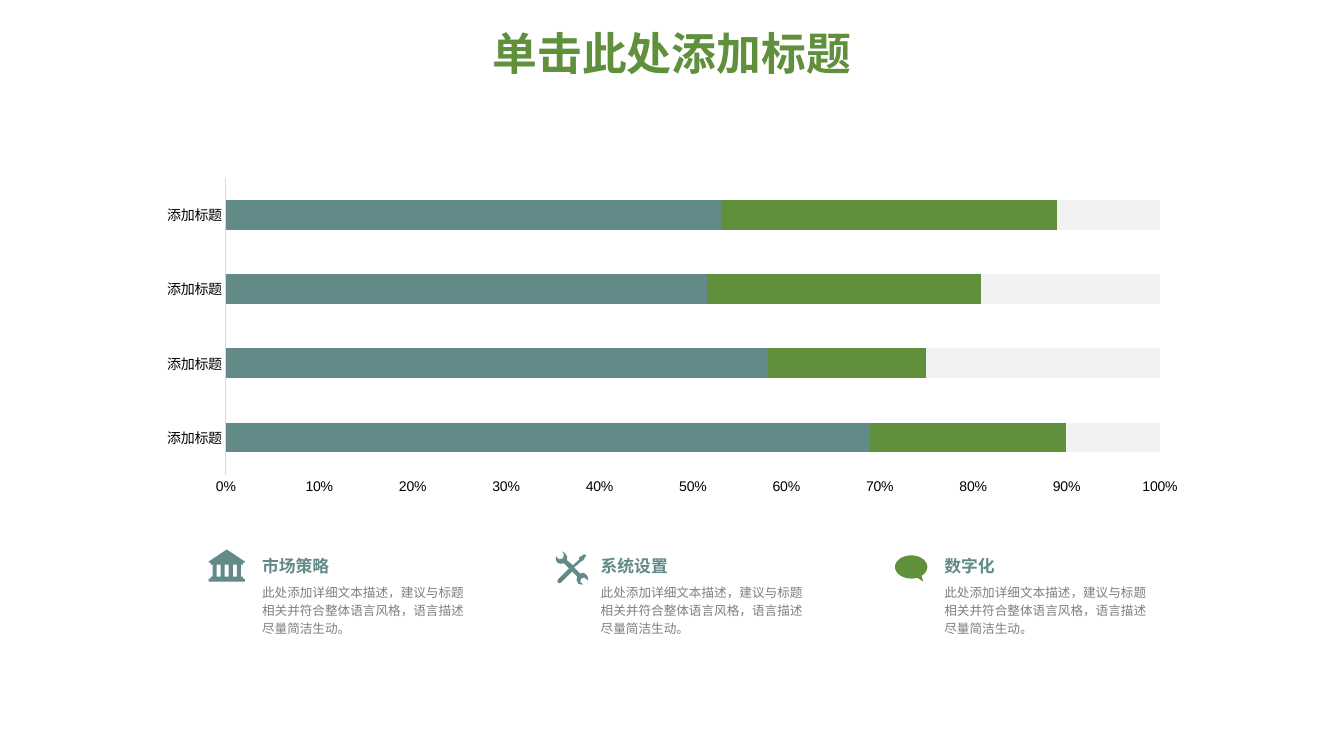
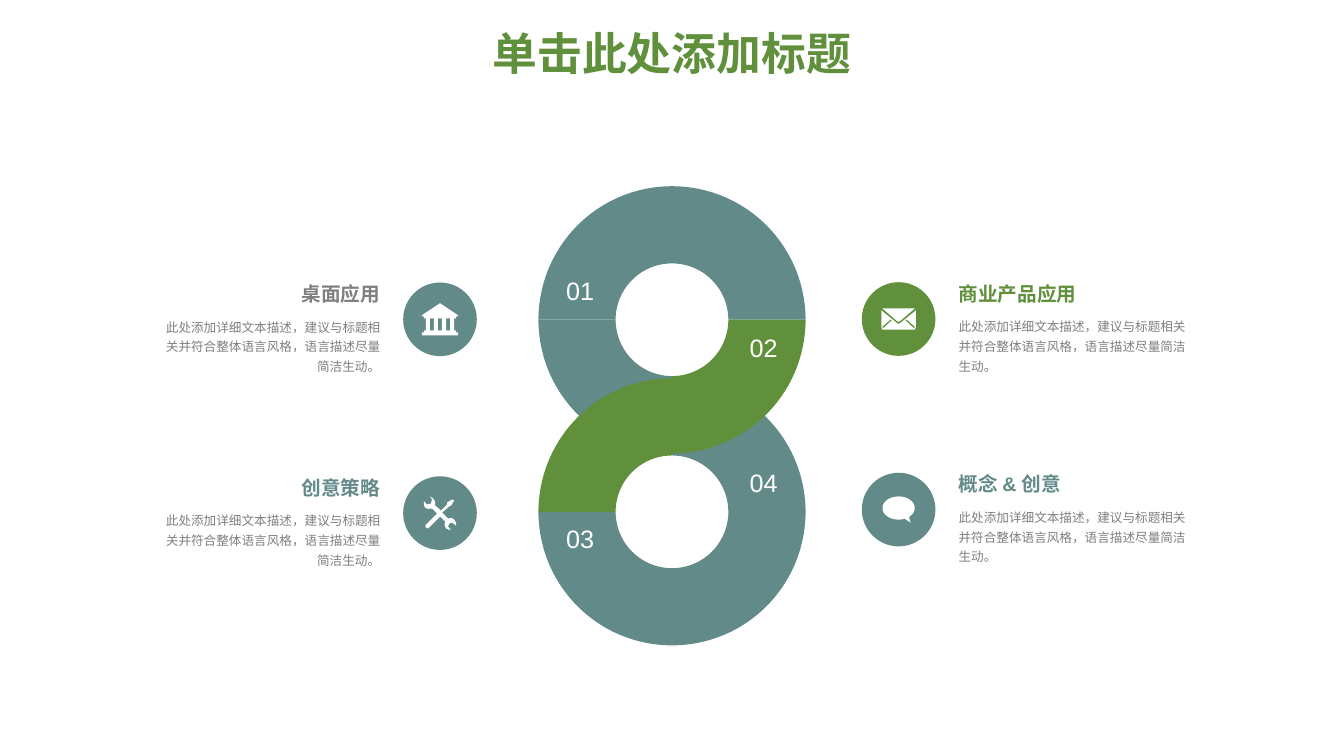
from math import cos, radians, sin

from pptx import Presentation
from pptx.chart.data import CategoryChartData
from pptx.dml.color import RGBColor
from pptx.enum.chart import XL_CHART_TYPE, XL_TICK_MARK
from pptx.enum.shapes import MSO_SHAPE
from pptx.enum.text import MSO_ANCHOR, PP_ALIGN
from pptx.util import Pt

# Shared style
FONT = "Arial"
TEAL, GREEN, GREY = "628A88", "60903B", "7F7F7F"
WHITE, BLACK, PALE, RULE = "FFFFFF", "000000", "F2F2F2", "D9D9D9"
TITLE = "单击此处添加标题"
DETAIL = "此处添加详细文本描述，建议与标题相关并符合整体语言风格，语言描述尽量简洁生动。"

# Icon outlines: lists of contours on a grid of ICON_UNIT points
ICON_UNIT = 0.72


def bank_icon():
    half = [(18, 0), (36, 12), (36, 13), (34, 13), (34, 15), (32, 15),
            (32, 27), (34, 27), (34, 29), (36, 29), (36, 32)]
    outline = half + [(36 - x, y) for x, y in reversed(half[1:])]
    gaps = [[(x, 15), (x, 27), (x + 4, 27), (x + 4, 15)] for x in (8, 16, 24)]
    return [outline] + gaps


def speech_icon():
    angles = [radians(a) for a in range(68, 411, 6)]
    bubble = [(16 + 16 * cos(a), 11.5 + 11.5 * sin(a)) for a in angles]
    return [bubble + [(28, 26)]]


def envelope_icon():
    flap = [(1, 0), (33, 0), (18, 13), (16, 13)]
    body = [(18, 15), (16, 15), (0, 2), (0, 19), (1, 21),
            (33, 21), (34, 19), (34, 2)]
    slit = [(10, 12), (2, 19.5), (1, 19), (1, 18), (9, 11), (10, 11)]
    return [flap, body, slit, [(34 - x, y) for x, y in slit]]


BANK, SPEECH, ENVELOPE = bank_icon(), speech_icon(), envelope_icon()
TOOLS = [[
    (31, 23), (28.4, 21.4), (25, 22), (19, 16), (26, 10), (28, 9), (31, 4),
    (29, 3), (24, 6), (24, 8), (18, 14), (12, 9), (12.1, 5.1), (10, 2),
    (7, 0), (9, 3), (8, 7), (4, 8), (1, 5), (0.8, 8), (2, 11), (5.1, 12.4),
    (9, 12), (14, 17), (3, 28), (2.3, 29.5), (3, 31), (4.5, 31.8), (6, 31),
    (17, 20), (22, 25), (21.4, 28.5), (23, 32), (25.5, 32.9), (28, 33),
    (25, 30), (26, 27), (29, 26), (33, 29), (32.8, 26),
]]


def color(value):
    return RGBColor.from_string(value)


def style_font(font, size, fill, bold=False):
    font.name, font.size, font.bold = FONT, Pt(size), bold
    font.color.rgb = color(fill)


def paint(sp, fill):
    sp.shadow.inherit = False
    sp.fill.solid()
    sp.fill.fore_color.rgb = color(fill)
    sp.line.fill.background()


def add_text(s, text, x, y, w, h, size, fill, bold=False, align=PP_ALIGN.LEFT,
             spacing=1.0, inset=0, anchor=MSO_ANCHOR.TOP, wrap=True):
    tf = s.shapes.add_textbox(Pt(x), Pt(y), Pt(w), Pt(h)).text_frame
    tf.word_wrap, tf.vertical_anchor = wrap, anchor
    tf.margin_left = tf.margin_right = Pt(inset)
    tf.margin_top = tf.margin_bottom = Pt(inset / 2)
    p = tf.paragraphs[0]
    p.text, p.alignment, p.line_spacing = text, align, spacing
    style_font(p.font, size, fill, bold)


def add_icon(s, contours, cx, cy, fill):
    """Draw an icon centred on (cx, cy)."""
    xs, ys = zip(*(point for contour in contours for point in contour))
    mid_x, mid_y = (min(xs) + max(xs)) / 2, (min(ys) + max(ys)) / 2
    builder = None
    for contour in contours:
        points = [(Pt(cx + (x - mid_x) * ICON_UNIT),
                   Pt(cy + (y - mid_y) * ICON_UNIT)) for x, y in contour]
        if builder is None:
            builder = s.shapes.build_freeform(*points[0], scale=1.0)
        else:
            builder.move_to(*points[0])
        builder.add_line_segments(points[1:], close=True)
    paint(builder.convert_to_shape(), fill)


def add_arc(s, x, y, size, start, end, fill):
    """Draw a ring segment clockwise between two angles in degrees."""
    sp = s.shapes.add_shape(MSO_SHAPE.BLOCK_ARC, Pt(x), Pt(y), Pt(size), Pt(size))
    sp.adjustments[0], sp.adjustments[1] = start * 0.6, end * 0.6
    sp.adjustments[2] = 0.289
    paint(sp, fill)


def add_slide(prs):
    s = prs.slides.add_slide(prs.slide_layouts[6])
    add_text(s, TITLE, 66, 18.7, 828, 43.2, 32, GREEN, True, PP_ALIGN.CENTER,
             0.9, 7.2, MSO_ANCHOR.MIDDLE)
    return s


def add_bar_chart(s):
    data = CategoryChartData()
    data.categories = ["添加标题"] * 4
    series = [((44, 21, 34, 33), TEAL), ((25, 37, 17, 20), TEAL),
              ((21, 17, 29, 36), GREEN), ((10, 25, 19, 11), PALE)]
    for i, (values, _) in enumerate(series, 1):
        data.add_series(f"Series {i}", values)
    chart = s.shapes.add_chart(XL_CHART_TYPE.BAR_STACKED_100, Pt(104.4), Pt(122.4),
                               Pt(751.7), Pt(235.4), data).chart
    chart.has_legend = chart.has_title = False
    style_font(chart.font, 10, BLACK)

    plot = chart.plots[0]
    plot.gap_width, plot.overlap, plot.vary_by_categories = 150, 100, False
    for bars, (_, fill) in zip(plot.series, series):
        bars.format.fill.solid()
        bars.format.fill.fore_color.rgb = color(fill)

    for axis in (chart.category_axis, chart.value_axis):
        axis.has_major_gridlines = False
        axis.major_tick_mark = axis.minor_tick_mark = XL_TICK_MARK.NONE
    line = chart.category_axis.format.line
    line.color.rgb, line.width = color(RULE), Pt(0.75)
    axis = chart.value_axis
    axis.format.line.fill.background()
    axis.major_unit = 0.1
    axis.tick_labels.number_format = "0%"
    axis.tick_labels.number_format_is_linked = False


def add_chart_slide(prs):
    s = add_slide(prs)
    add_bar_chart(s)
    # Notes under the chart: heading, text left, icon, icon centre, colour
    notes = [("市场策略", 187.2, BANK, 162, 404, TEAL),
             ("系统设置", 429.1, TOOLS, 408.6, 405.7, TEAL),
             ("数字化", 674.6, SPEECH, 650.9, 406.1, GREEN)]
    for heading, x, icon, cx, cy, fill in notes:
        add_text(s, DETAIL, x, 415.4, 148.3, 41.8, 9, GREY, spacing=1.2)
        add_text(s, heading, x, 398.2, 115.2, 18, 12, TEAL, True, spacing=0.9)
        add_icon(s, icon, cx, cy, fill)


def add_eight_slide(prs):
    s = add_slide(prs)

    # Side notes: heading and its colour, disc left, top and colour, icon
    disc = 52.6
    left_x, right_x = 288, 615.6
    notes = [("桌面应用", GREY, left_x, 201.8, TEAL, BANK),
             ("创意策略", TEAL, left_x, 340.2, TEAL, TOOLS),
             ("商业产品应用", GREEN, right_x, 201.6, GREEN, ENVELOPE),
             ("概念 & 创意", TEAL, right_x, 337.7, TEAL, SPEECH)]
    for heading, ink, x, y, fill, icon in notes:
        if x == left_x:
            text_x, width, align = 110.2, 161.3, PP_ALIGN.RIGHT
        else:
            text_x, width, align = 684.7, 164.2, PP_ALIGN.LEFT
        add_text(s, DETAIL, text_x, y + 23.2, width, 43.9, 9, GREY,
                 align=align, spacing=1.3)
        add_text(s, heading, text_x, y + 1.6, width, 25.2, 14, ink, True, align, 0.9)
        sp = s.shapes.add_shape(MSO_SHAPE.OVAL, Pt(x), Pt(y), Pt(disc), Pt(disc))
        paint(sp, fill)
        add_icon(s, icon, x + disc / 2, y + disc / 2, fill=WHITE)

    # Figure eight: two rings, crossed by the green band
    ring, upper, lower = 190.8, 133, 270.2
    arcs = [(upper, 180, 0, TEAL), (lower, 0, 180, TEAL),
            (upper, 90, 180, TEAL), (lower, 270, 0, TEAL),
            (lower, 180, 270, GREEN), (upper, 0, 90, GREEN)]
    for y, start, end, fill in arcs:
        add_arc(s, 480 - ring / 2, y, ring, start, end, fill)

    # Numbers on the rings
    for number, x, y in [("01", 396.7, 193), ("02", 527.8, 233.5),
                         ("03", 396.7, 370), ("04", 527.8, 330.5)]:
        add_text(s, number, x, y, 35.3, 28.8, 18, WHITE, align=PP_ALIGN.CENTER,
                 inset=7.2, wrap=False)


def main():
    prs = Presentation()
    prs.slide_width, prs.slide_height = Pt(960), Pt(540)
    add_chart_slide(prs)
    add_eight_slide(prs)
    prs.save("out.pptx")


if __name__ == "__main__":
    main()
